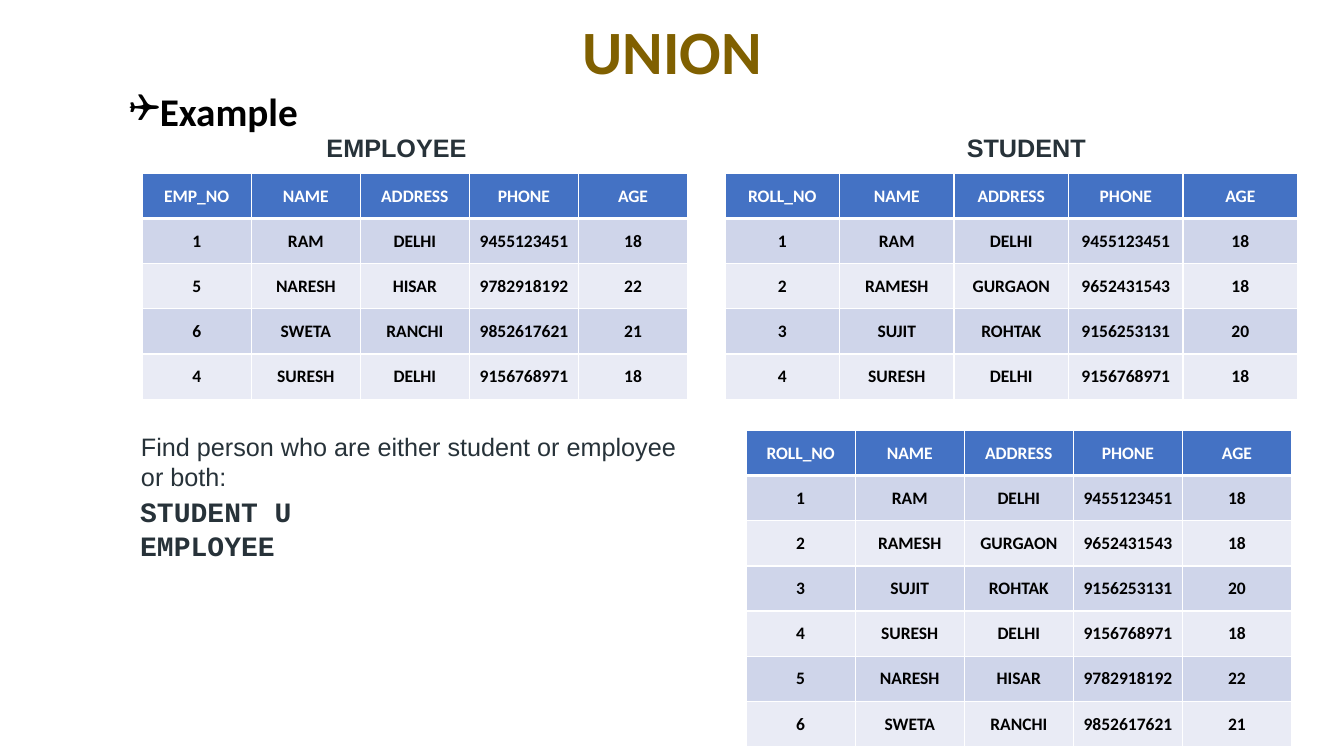
from lxml import etree
from pptx import Presentation
from pptx.dml.color import RGBColor
from pptx.enum import text
from pptx.oxml import ns
from pptx.util import Inches, Pt

WHITE = RGBColor(0xFF, 0xFF, 0xFF)
BLACK = RGBColor(0, 0, 0)
GOLD = RGBColor(0x80, 0x60, 0x00)
SLATE = RGBColor(0x27, 0x32, 0x39)
BLUE = RGBColor(0x44, 0x72, 0xC4)
DARK_BAND = RGBColor(0xCF, 0xD5, 0xEA)
LIGHT_BAND = RGBColor(0xE9, 0xEB, 0xF5)

ROW_HEIGHT = 0.44
COMMON_FIELDS = ("NAME", "ADDRESS", "PHONE", "AGE")
EMPLOYEES = [
    ("1", "RAM", "DELHI", "9455123451", "18"),
    ("5", "NARESH", "HISAR", "9782918192", "22"),
    ("6", "SWETA", "RANCHI", "9852617621", "21"),
    ("4", "SURESH", "DELHI", "9156768971", "18"),
]
STUDENTS = [
    ("1", "RAM", "DELHI", "9455123451", "18"),
    ("2", "RAMESH", "GURGAON", "9652431543", "18"),
    ("3", "SUJIT", "ROHTAK", "9156253131", "20"),
    ("4", "SURESH", "DELHI", "9156768971", "18"),
]
UNION = STUDENTS + [person for person in EMPLOYEES if person not in STUDENTS]


def style_font(font, name, size, color, bold=True):
    font.name = name
    font.size = Pt(size)
    font.bold = bold
    font.color.rgb = color


def add_title(page, wording):
    title = page.shapes.title
    title.left, title.top = Inches(0.92), Inches(0.02)
    title.width, title.height = Inches(11.5), Inches(1.04)
    frame = title.text_frame
    frame.text = wording
    frame.vertical_anchor = text.MSO_ANCHOR.MIDDLE
    para = frame.paragraphs[0]
    para.alignment = text.PP_ALIGN.CENTER
    para.line_spacing = 0.9
    style_font(para.runs[0].font, "Calibri", 44, GOLD)


def add_text(page, wording, left, top, width, height, size,
             name="Arial", color=SLATE, bold=True):
    box = page.shapes.add_textbox(
        Inches(left), Inches(top), Inches(width), Inches(height))
    frame = box.text_frame
    frame.word_wrap = True
    frame.auto_size = text.MSO_AUTO_SIZE.SHAPE_TO_FIT_TEXT
    frame.text = wording
    style_font(frame.paragraphs[0].runs[0].font, name, size, color, bold)
    return frame


def add_bullet(para, symbol):
    properties = para._p.get_or_add_pPr()
    properties.set("marL", str(Inches(0.25)))
    properties.set("indent", str(Inches(-0.25)))
    font = etree.SubElement(properties, ns.qn("a:buFont"))
    font.set("typeface", "Wingdings")
    bullet = etree.SubElement(properties, ns.qn("a:buChar"))
    bullet.set("char", symbol)


def set_borders(cell, top, bottom):
    properties = cell._tc.get_or_add_tcPr()
    for side, points in (("L", 1), ("R", 1), ("T", top), ("B", bottom)):
        line = etree.SubElement(properties, ns.qn(f"a:ln{side}"))
        line.set("w", str(Pt(points)))
        fill = etree.SubElement(line, ns.qn("a:solidFill"))
        etree.SubElement(fill, ns.qn("a:srgbClr")).set("val", str(WHITE))


def fill_cell(cell, wording, row):
    set_borders(cell, 3 if row == 1 else 1, 3 if row == 0 else 1)
    cell.fill.solid()
    if row == 0:
        cell.fill.fore_color.rgb = BLUE
    else:
        cell.fill.fore_color.rgb = DARK_BAND if row % 2 else LIGHT_BAND
    cell.vertical_anchor = text.MSO_ANCHOR.MIDDLE
    cell.margin_left = cell.margin_right = Inches(0.08)
    cell.margin_top = cell.margin_bottom = Inches(0.12)
    cell.text = wording
    para = cell.text_frame.paragraphs[0]
    para.alignment = text.PP_ALIGN.CENTER
    style_font(para.runs[0].font, "Calibri", 12.5, BLACK if row else WHITE)


def add_people_table(page, key, people, left, top, width):
    rows = [(key, *COMMON_FIELDS), *people]
    table = page.shapes.add_table(
        len(rows), len(rows[0]), Inches(left), Inches(top),
        Inches(width), Inches(ROW_HEIGHT * len(rows))).table
    for row, record in enumerate(rows):
        for column, wording in enumerate(record):
            fill_cell(table.cell(row, column), wording, row)


def main():
    deck = Presentation()
    deck.slide_width, deck.slide_height = Inches(13.33), Inches(7.5)
    page = deck.slides.add_slide(deck.slide_layouts[5])

    add_title(page, "UNION")
    example = add_text(page, "Example", 1.18, 0.87, 4, 0.5, 28,
                       "Calibri", BLACK).paragraphs[0]
    add_bullet(example, "❑")
    example.line_spacing = 0.9

    add_text(page, "EMPLOYEE", 3.14, 1.26, 2.07, 0.4, 18)
    add_people_table(page, "EMP_NO", EMPLOYEES, 1.41, 1.72, 5.41)
    add_text(page, "STUDENT", 9.49, 1.26, 1.61, 0.4, 18)
    add_people_table(page, "ROLL_NO", STUDENTS, 7.19, 1.72, 5.68)

    add_text(page, "Find person who are either student or employee or both:",
             1.3, 4.23, 5.71, 0.71, 18, bold=False)
    query = add_text(page, "STUDENT U EMPLOYEE", 1.39, 5.07, 2.99, 0.34, 20,
                     "Courier New")
    query.vertical_anchor = text.MSO_ANCHOR.MIDDLE
    query.margin_left = query.margin_right = 0
    query.margin_top = query.margin_bottom = 0
    add_people_table(page, "ROLL_NO", UNION, 7.4, 4.27, 5.41)

    deck.save("out.pptx")


if __name__ == "__main__":
    main()
